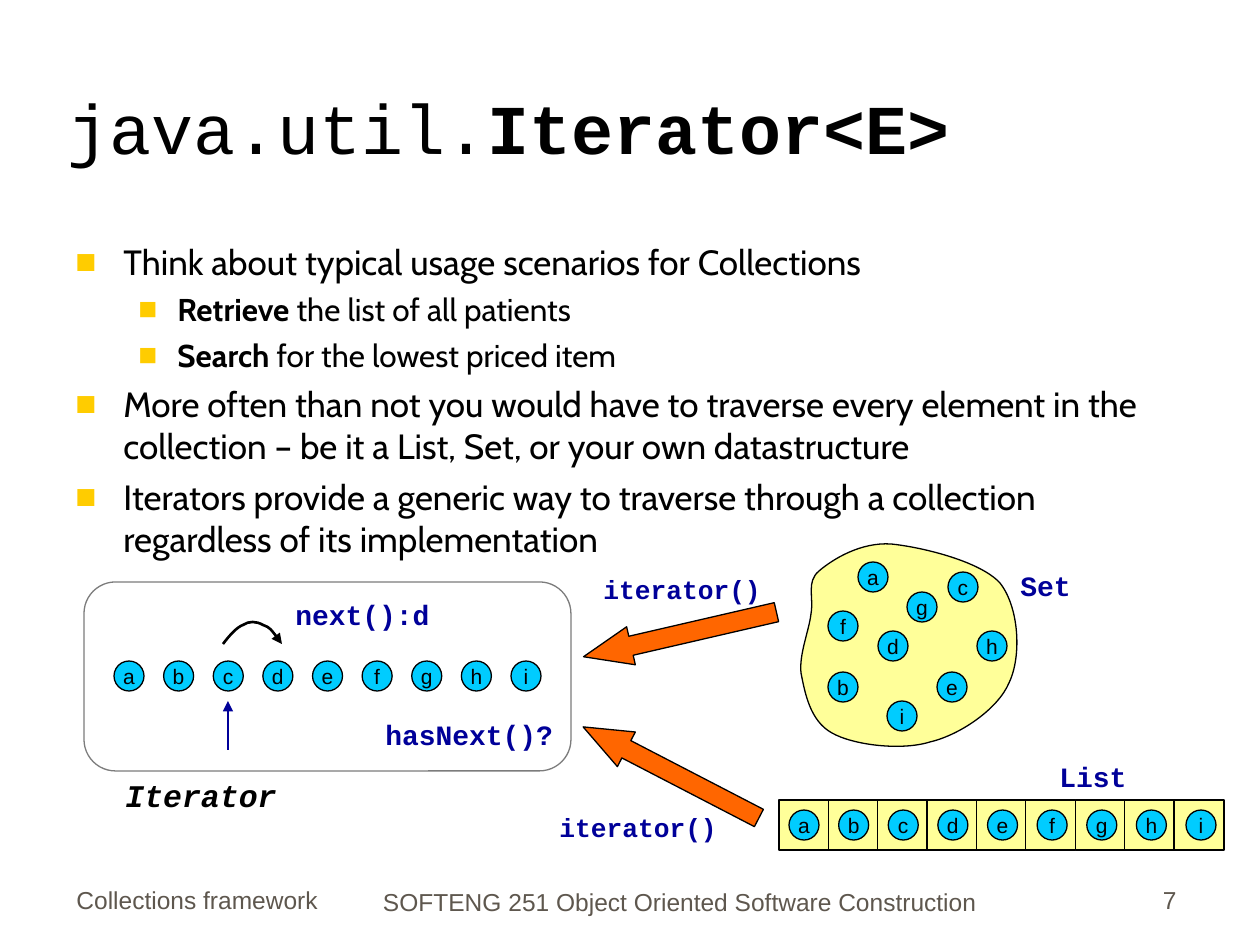
from typing import NamedTuple

from lxml.etree import SubElement
from pptx import Presentation
from pptx.dml.color import RGBColor
from pptx.enum.shapes import MSO_CONNECTOR, MSO_SHAPE as Shape
from pptx.enum.text import MSO_ANCHOR as Anchor, MSO_AUTO_SIZE as AutoSize, PP_ALIGN as Align
from pptx.oxml.ns import qn
from pptx.util import Emu, Pt

SCALE = 914400 / 126  # EMU in one px

BLACK = RGBColor(0x00, 0x00, 0x00)
NAVY = RGBColor(0x00, 0x00, 0x99)
CYAN = RGBColor(0x00, 0xCC, 0xFF)
YELLOW = RGBColor(0xFF, 0xFF, 0x99)
GOLD = RGBColor(0xFF, 0xCC, 0x00)
ORANGE = RGBColor(0xFF, 0x66, 0x00)
GRAY = RGBColor(0x7C, 0x7C, 0x7C)
FOOTER = RGBColor(0x5E, 0x57, 0x4E)

SANS, BODY, MONO = "Arial", "Cabin", "Courier New"
LETTERS = "abcdefghi"
DOT, CELL = 30, 50


class Box(NamedTuple):
    x: float
    y: float
    w: float
    h: float


class Label(NamedTuple):
    text: str
    box: Box
    size: int = 16
    color: RGBColor = NAVY
    italic: bool = False


class Bullet(NamedTuple):
    bold: str
    text: str
    level: int = 0


class BlockArrow(NamedTuple):
    box: Box
    rotation: float


LABELS = [
    Label("Iterator", Box(113, 770, 176, 50), 18, BLACK, True),
    Label("next():d", Box(283, 591, 159, 47)),
    Label("iterator()", Box(591, 567, 183, 44), 15),
    Label("iterator()", Box(547, 805, 183, 44), 15),
    Label("Set", Box(1008, 562, 76, 47)),
    Label("List", Box(1047, 753, 92, 47)),
    Label("hasNext()?", Box(373, 711, 193, 47)),
]
BULLETS = [
    Bullet("", "Think about typical usage scenarios for Collections"),
    Bullet("Retrieve", " the list of all patients", 1),
    Bullet("Search", " for the lowest priced item", 1),
    Bullet("", "More often than not you would have to traverse every element in the "
               "collection – be it a List, Set, or your own datastructure"),
    Bullet("", "Iterators provide a generic way to traverse through a collection "
               "regardless of its implementation"),
]
FOOTERS = [
    ("Collections framework", Box(64, 858, 423, 63), Align.LEFT),
    ("SOFTENG 251 Object Oriented Software Construction", Box(323, 860, 714, 63), Align.CENTER),
    ("7", Box(927, 858, 262, 63), Align.RIGHT),
]
SET_DOTS = {
    "a": (858, 562), "f": (828, 611), "g": (907, 592), "d": (878, 631), "b": (828, 672),
    "c": (948, 572), "e": (937, 672), "i": (887, 701), "h": (977, 631),
}
BLOCK_ARROWS = [BlockArrow(Box(581, 615, 198, 39), -13), BlockArrow(Box(572, 753, 198, 39), 27.4)]

# Start point, then two control points and an end point for each curve
SET_OUTLINE = [
    (819, 571), (833, 559), (861, 542), (891, 544), (921, 547), (980, 561), (1000, 583),
    (1019, 607), (1022, 656), (1009, 683), (998, 709), (960, 735), (930, 742),
    (901, 751), (853, 745), (832, 733), (810, 721), (805, 693), (801, 673),
    (799, 654), (809, 631), (811, 614), (814, 597), (806, 582), (819, 571),
]
NEXT_ARC = [
    (223, 644), (229, 636), (237, 627), (243, 625), (249, 621),
    (256, 621), (263, 625), (270, 627), (276, 636), (282, 644),
]


def px(n: float) -> Emu:
    return Emu(round(n * SCALE))


def place(box: Box) -> list[Emu]:
    return [px(n) for n in box]


def spread(first: float, last: float) -> list[float]:
    """Equal steps from first to last, one for each letter."""
    step = (last - first) / (len(LETTERS) - 1)
    return [first + i * step for i in range(len(LETTERS))]


def add_run(p, text: str, *, size: float, font: str, color: RGBColor = BLACK,
            bold: bool = False, italic: bool = False) -> None:
    r = p.add_run()
    r.text = text
    f = r.font
    f.size, f.name, f.bold, f.italic = Pt(size), font, bold, italic
    f.color.rgb = color


def add_text(s, text: str, box: Box, *, align=Align.LEFT, anchor=Anchor.TOP,
             wrap: bool = False, **style) -> None:
    tf = s.shapes.add_textbox(*place(box)).text_frame
    tf.word_wrap, tf.vertical_anchor = wrap, anchor
    tf.auto_size = AutoSize.NONE if wrap else AutoSize.SHAPE_TO_FIT_TEXT
    p = tf.paragraphs[0]
    p.alignment = align
    add_run(p, text, **style)


def paint(sp, fill: RGBColor | None, line: RGBColor = BLACK, width: float = 0.75) -> None:
    sp.shadow.inherit = False
    if fill is None:
        sp.fill.background()
    else:
        sp.fill.solid()
        sp.fill.fore_color.rgb = fill
    sp.line.color.rgb = line
    sp.line.width = Pt(width)


def add_shape(s, kind, box: Box, fill: RGBColor | None, line: RGBColor = BLACK):
    sp = s.shapes.add_shape(kind, *place(box))
    paint(sp, fill, line)
    return sp


def add_dot(s, letter: str, x: float, y: float) -> None:
    tf = add_shape(s, Shape.OVAL, Box(x, y, DOT, DOT), CYAN).text_frame
    tf.word_wrap, tf.vertical_anchor = False, Anchor.MIDDLE
    p = tf.paragraphs[0]
    p.alignment = Align.CENTER
    add_run(p, letter, size=12, font=SANS)


def add_curve(s, points: list[tuple[int, int]], close: bool = False):
    """Freeform whose line segments are joined by threes into Bezier curves."""
    builder = s.shapes.build_freeform(*points[0], scale=SCALE)
    builder.add_line_segments(points[1:], close=close)
    sp = builder.convert_to_shape()
    segments = list(sp._element.iter(qn("a:lnTo")))
    for i in range(0, len(segments), 3):
        curve = segments[i]
        curve.tag = qn("a:cubicBezTo")
        for extra in segments[i + 1:i + 3]:
            curve.append(extra[0])
            extra.getparent().remove(extra)
    return sp


def add_arrowhead(sp) -> None:
    ln = sp._element.spPr.find(qn("a:ln"))
    SubElement(ln, qn("a:tailEnd"), type="triangle")


def add_bullet(p, item: Bullet, first: bool) -> None:
    size, margin, hang = ((20, 48, 48), (18, 102, 39))[item.level]
    p.level = item.level
    p.space_before = Pt(0 if first else size / 4)
    pPr = p._p.get_or_add_pPr()
    pPr.set("marL", str(px(margin)))
    pPr.set("indent", str(-px(hang)))
    SubElement(SubElement(pPr, qn("a:buClr")), qn("a:srgbClr"), val=str(GOLD))
    SubElement(pPr, qn("a:buFont"), typeface=SANS)
    SubElement(pPr, qn("a:buChar"), char="■")
    if item.bold:
        add_run(p, item.bold, size=size, font=BODY, bold=True)
    add_run(p, item.text, size=size, font=BODY)


def main() -> None:
    prs = Presentation()
    prs.slide_width, prs.slide_height = px(1260), px(945)
    s = prs.slides.add_slide(prs.slide_layouts[5])

    # Title
    title = s.shapes.title
    title.left, title.top, title.width, title.height = place(Box(55, 32, 1071, 143))
    tf = title.text_frame
    tf.vertical_anchor, tf.auto_size, tf.word_wrap = Anchor.BOTTOM, AutoSize.NONE, True
    p = tf.paragraphs[0]
    p.alignment = Align.LEFT
    add_run(p, "java.util.", size=40, font=MONO)
    add_run(p, "Iterator<E>", size=40, font=MONO, bold=True)

    # Footer line
    for text, box, align in FOOTERS:
        add_text(s, text, box, align=align, anchor=Anchor.BOTTOM, wrap=True,
                 size=14, font=SANS, color=FOOTER)

    # List cells and set outline
    for x in spread(779, 1174):
        add_shape(s, Shape.RECTANGLE, Box(x, 800, CELL, CELL), YELLOW)
    paint(add_curve(s, SET_OUTLINE, close=True), YELLOW)

    # Bullets
    tf = s.shapes.add_textbox(*place(Box(63, 234, 1126, 338))).text_frame
    tf.word_wrap = True
    for i, item in enumerate(BULLETS):
        add_bullet(tf.add_paragraph() if i else tf.paragraphs[0], item, first=i == 0)

    # Elements of the set, the list and the iterator
    for letter, (x, y) in SET_DOTS.items():
        add_dot(s, letter, x, y)
    for first, last, y in ((789, 1186, 810), (114, 511, 661)):
        for letter, x in zip(LETTERS, spread(first, last)):
            add_dot(s, letter, x, y)

    # Block arrows to the iterator
    for arrow in BLOCK_ARROWS:
        sp = add_shape(s, Shape.LEFT_ARROW, arrow.box, ORANGE)
        sp.adjustments[0], sp.adjustments[1] = 0.5, 1.25
        sp.rotation = arrow.rotation

    # Cursor and step to the next element
    cursor = s.shapes.add_connector(MSO_CONNECTOR.STRAIGHT, px(228), px(750), px(228), px(701))
    cursor.line.color.rgb, cursor.line.width = NAVY, Pt(1.5)
    add_arrowhead(cursor)
    SubElement(cursor._element.spPr, qn("a:effectLst"))
    arc = add_curve(s, NEXT_ARC)
    paint(arc, None, width=1.5)
    add_arrowhead(arc)

    # Iterator frame and labels
    add_shape(s, Shape.ROUNDED_RECTANGLE, Box(84, 582, 487, 189), None, GRAY)
    for label in LABELS:
        add_text(s, label.text, label.box, size=label.size, font=MONO,
                 color=label.color, bold=True, italic=label.italic)

    prs.save("out.pptx")


if __name__ == "__main__":
    main()
